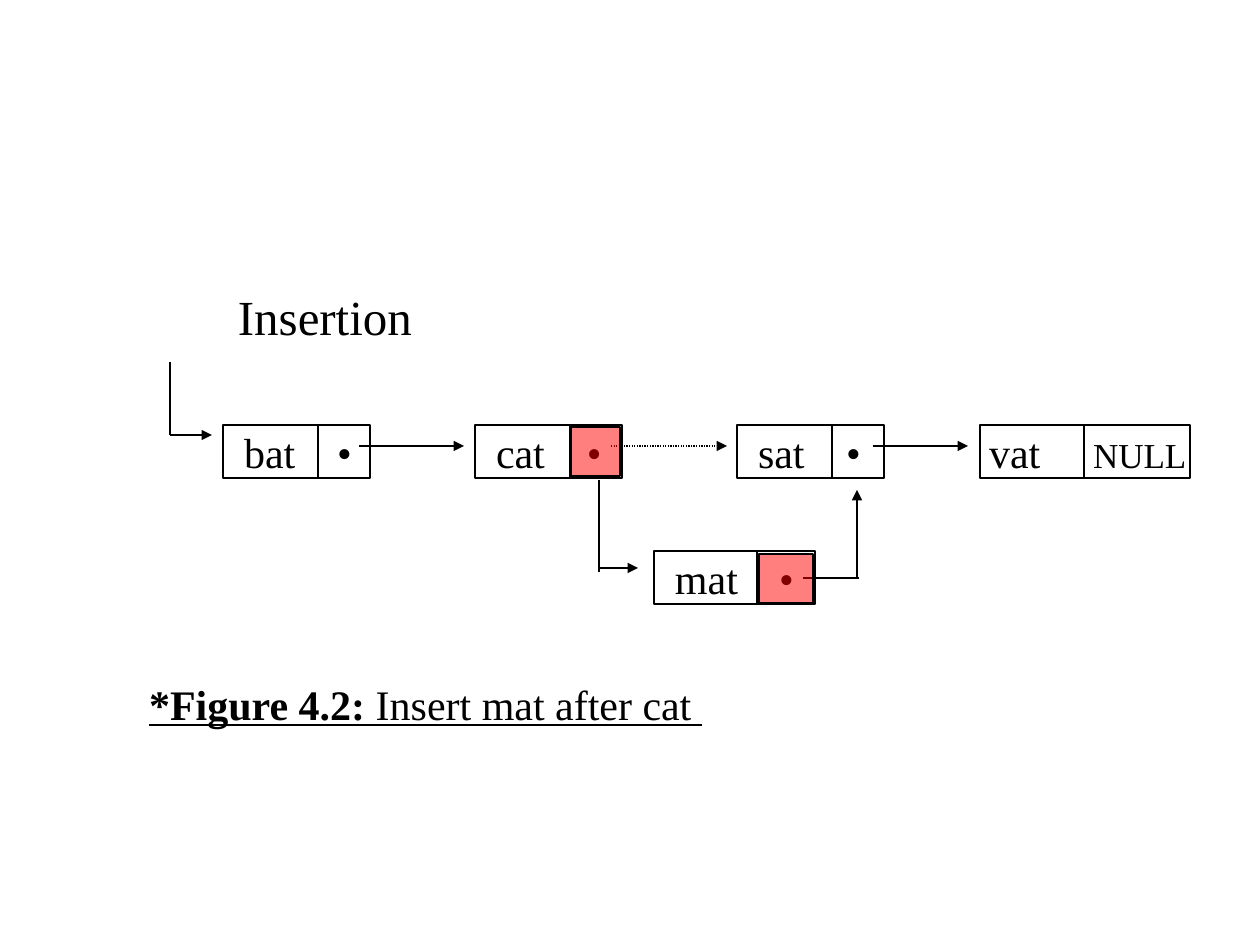
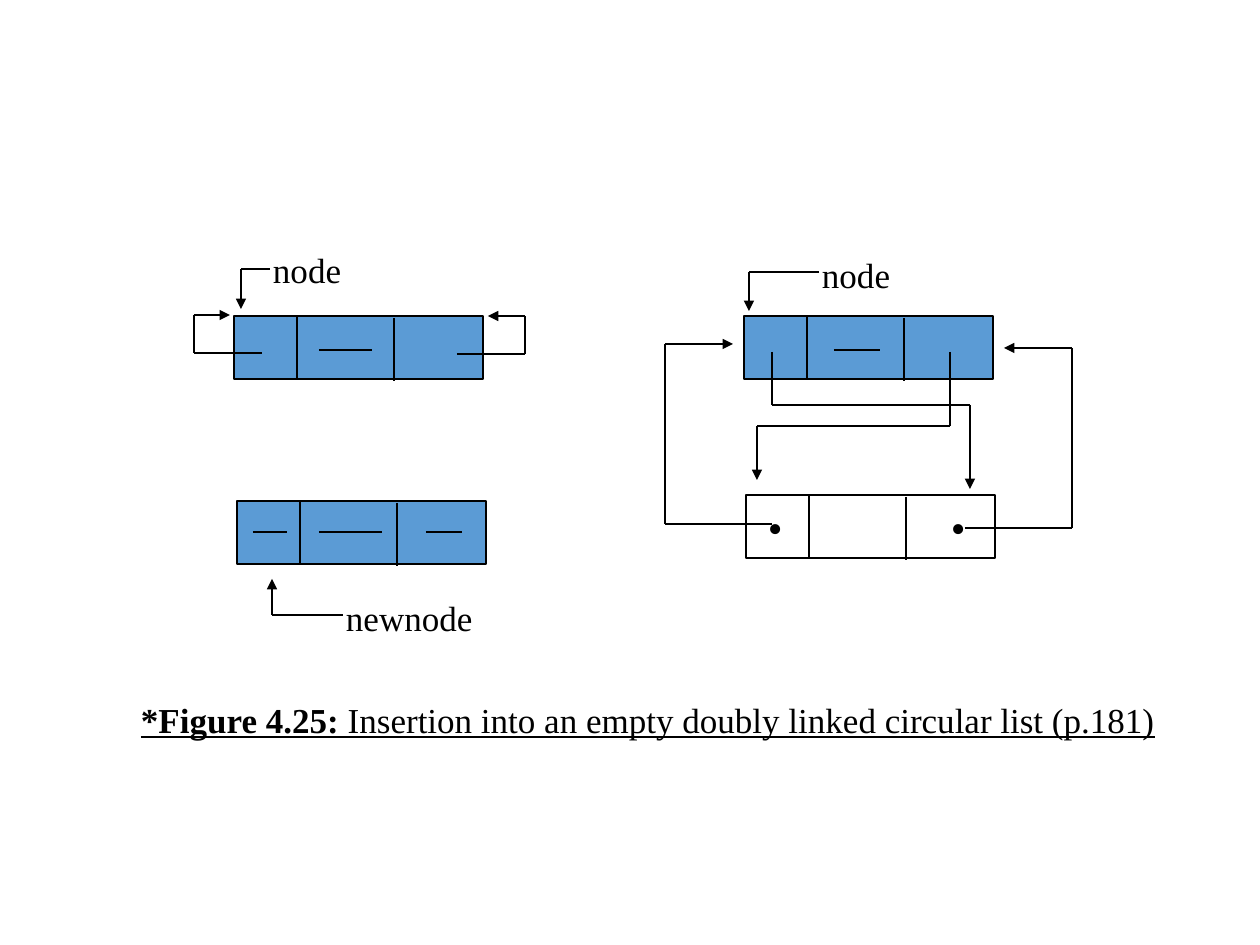
from itertools import pairwise

from lxml.etree import SubElement
from pptx import Presentation
from pptx.dml.color import RGBColor
from pptx.enum.dml import MSO_LINE
from pptx.enum.shapes import MSO_CONNECTOR, MSO_SHAPE
from pptx.enum.text import MSO_ANCHOR, PP_ALIGN
from pptx.oxml.ns import qn
from pptx.util import Emu, Pt

# Shared look
COLORS = {"ink": "000000", "node": "5B9BD5", "mark": "FF0000"}
FONT = "Times New Roman"
SCALE = 914400 / 126
INSET = 13


def px(n):
    return Emu(round(n * SCALE))


def rgb(name):
    return RGBColor.from_string(COLORS[name])


# Text
def write(frame, parts, size, inset=INSET, tab=None):
    """Fill the first paragraph with (text, bold, size) runs."""
    frame.word_wrap = True
    frame.margin_left, frame.margin_right = px(inset), 0
    para = frame.paragraphs[0]
    para.alignment = PP_ALIGN.LEFT
    if tab:
        tabs = SubElement(para._p.get_or_add_pPr(), qn("a:tabLst"))
        SubElement(tabs, qn("a:tab"), pos=str(px(tab)), algn="l")
    font = para.font
    font.name, font.size = FONT, Pt(size)
    font.color.rgb = rgb("ink")
    for text, bold, own in parts:
        run = para.add_run()
        run.text = text
        if bold:
            run.font.bold = True
        if own:
            run.font.size = Pt(own)
    return para


def label(slide, area, text, size, inset=INSET, tab=None, tail=None):
    box = slide.shapes.add_textbox(*map(px, area))
    parts = [(text, False, None)]
    if tail:
        parts.append((tail, False, 20))
    write(box.text_frame, parts, size, inset, tab)


def caption(slide, area, head, body, size):
    box = slide.shapes.add_textbox(*map(px, area))
    parts = [(head, True, None), (body, False, None)]
    write(box.text_frame, parts, size).font.underline = True


# Boxes and lines
def rect(slide, area, fill=None, alpha=None):
    box = slide.shapes.add_shape(MSO_SHAPE.RECTANGLE, *map(px, area))
    box.shadow.inherit = False
    box.line.color.rgb = rgb("ink")
    box.line.width = Pt(0.75)
    if fill:
        box.fill.solid()
        box.fill.fore_color.rgb = rgb(fill)
    else:
        box.fill.background()
    if alpha:
        tint = box._element.spPr.find(qn("a:solidFill")).find(qn("a:srgbClr"))
        SubElement(tint, qn("a:alpha"), val=str(alpha * 1000))
    return box


def line(slide, start, end, arrow=False, dots=False):
    link = slide.shapes.add_connector(
        MSO_CONNECTOR.STRAIGHT, *map(px, (*start, *end)))
    link.line.color.rgb = rgb("ink")
    link.line.width = Pt(0.75)
    if dots:
        link.line.dash_style = MSO_LINE.ROUND_DOT
    props = link._element.spPr
    if arrow:
        SubElement(props.find(qn("a:ln")), qn("a:tailEnd"), type="triangle")
    SubElement(props, qn("a:effectLst"))


def route(slide, *points):
    """Join the points by lines, with an arrowhead on the last one."""
    for start, end in pairwise(points):
        line(slide, start, end, arrow=end == points[-1])


# List nodes
def cell(slide, x, y, wide, split, word, tab, shift=2, tail=None):
    """Node with a data field and a link field."""
    rect(slide, (x, y, wide, 53))
    line(slide, (x + split, y), (x + split, y + 53))
    area = (x - shift, y - 5, wide + 20, 63)
    label(slide, area, word, 24, 23, tab, tail)


def triple(slide, x, y, fill=None):
    """Node with a left link, data and a right link."""
    box = rect(slide, (x, y, 249, 63), fill)
    for split, drop in ((63, 0), (160, 2)):
        line(slide, (x + split, y + drop), (x + split, y + drop + 63))
    return box


def single(slide):
    # Chain
    for x, word, tab in ((223, "bat", 93), (475, "cat", 91), (737, "sat", 88)):
        cell(slide, x, 425, 147, 95, f"{word}\t•", tab)
    cell(slide, 980, 425, 210, 104, "vat\t", 104, 14, "NULL")
    route(slide, (170, 362), (170, 435), (212, 435))
    for start, end, dots in (
            (359, 464, False), (611, 727, True), (873, 968, False)):
        line(slide, (start, 446), (end, 446), True, dots)

    # Inserted node
    cell(slide, 654, 551, 161, 103, "mat\t•", 104)
    line(slide, (599, 480), (599, 572))
    line(slide, (600, 568), (638, 568), True)
    line(slide, (803, 578), (859, 578))
    line(slide, (857, 578), (857, 490), True)
    rect(slide, (571, 427, 49, 49), "mark", 50)
    rect(slide, (759, 554, 54, 49), "mark", 50)

    # Words
    label(slide, (225, 280, 199, 72), "Insertion", 28)
    caption(slide, (136, 672, 597, 64),
            "*Figure 4.2: ", "Insert mat after cat ", 24)


def double(slide):
    # Nodes
    for x, y in ((234, 316), (237, 501), (744, 316)):
        triple(slide, x, y, "node")
    frame = triple(slide, 746, 495).text_frame
    frame.vertical_anchor = MSO_ANCHOR.MIDDLE
    write(frame, [("•\t•", False, None)], 24, 22, 183)

    # Empty fields
    for start, end, y in (
            (319, 372, 350), (834, 880, 350),
            (253, 287, 532), (319, 382, 532), (426, 462, 532)):
        line(slide, (start, y), (end, y))

    # Links of the empty list
    route(slide, (457, 354), (525, 354), (525, 316), (488, 316))
    route(slide, (262, 353), (194, 353), (194, 315), (230, 315))

    # Links after insertion
    route(slide, (772, 352), (772, 405), (970, 405), (970, 489))
    route(slide, (950, 352), (950, 426), (757, 426), (757, 480))
    route(slide, (965, 528), (1072, 528), (1072, 348), (1004, 348))
    route(slide, (772, 524), (665, 524), (665, 344), (733, 344))

    # Named pointers: word, text place, then line start, bend and tip
    for word, x, y, wide, start, bend, row, tip in (
            ("node", 260, 242, 93, 270, 241, 269, 309),
            ("node", 809, 247, 93, 819, 749, 272, 311),
            ("newnode", 333, 590, 151, 343, 272, 615, 579)):
        label(slide, (x, y, wide, 54), word, 20)
        route(slide, (start, row), (bend, row), (bend, tip))

    caption(slide, (128, 692, 1036, 54), "*Figure 4.25: ",
            "Insertion into an empty doubly linked circular list (p.181)", 20)


def main():
    deck = Presentation()
    deck.slide_width, deck.slide_height = px(1260), px(945)
    for build in (single, double):
        build(deck.slides.add_slide(deck.slide_layouts[6]))
    deck.save("out.pptx")


if __name__ == "__main__":
    main()
